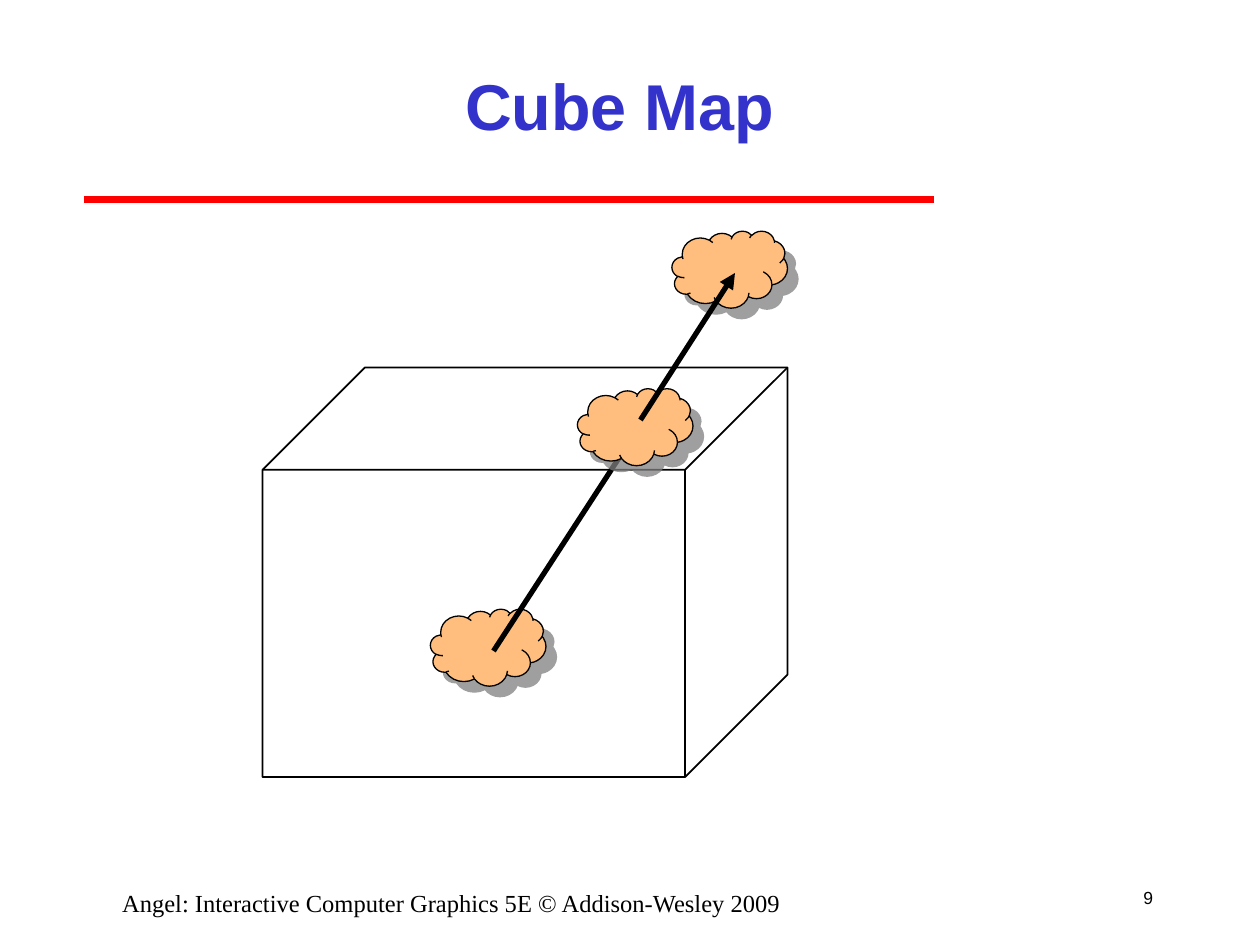
from lxml.etree import SubElement
from pptx import Presentation
from pptx.dml.color import RGBColor
from pptx.enum.shapes import MSO_CONNECTOR, MSO_SHAPE
from pptx.enum.text import MSO_ANCHOR, PP_ALIGN
from pptx.oxml.ns import qn
from pptx.util import Inches, Pt

COLORS = {
    "title": "3333CC",
    "rule": "FF0000",
    "ink": "000000",
    "cloud": "FFBE7D",
    "shadow": "808080",
}
CELLS_PER_INCH = 12
COLUMNS, ROWS = 120, 90
CLOUD_SIZE = (11, 7.33)


def grid(*cells):
    """Turn grid cells into lengths."""
    return [Inches(cell / CELLS_PER_INCH) for cell in cells]


def color(name):
    """Look up a named colour."""
    return RGBColor.from_string(COLORS[name])


def apply_format(target, values):
    """Set each named attribute on the target."""
    for name, value in values.items():
        setattr(target, name, value)


def add_text(page, area, text, font, ink="ink", align=PP_ALIGN.CENTER, anchor=MSO_ANCHOR.MIDDLE):
    """Place one line of text in a grid area."""
    frame = page.shapes.add_textbox(*grid(*area)).text_frame
    apply_format(frame, {"word_wrap": True, "vertical_anchor": anchor})
    para = frame.paragraphs[0]
    para.alignment = align
    span = para.add_run()
    span.text = text
    apply_format(span.font, font)
    span.font.color.rgb = color(ink)


def add_line(page, start, end, ink, width, arrow=False):
    """Draw a straight line, with an arrowhead at its end if asked."""
    line = page.shapes.add_connector(MSO_CONNECTOR.STRAIGHT, *grid(*start, *end))
    line.line.color.rgb = color(ink)
    line.line.width = Pt(width)
    if arrow:
        SubElement(line.line._get_or_add_ln(), qn("a:tailEnd"), type="triangle")
    SubElement(line._element.spPr, qn("a:effectLst"))


def add_outlined(page, kind, area, width):
    """Draw a preset shape with a thin dark outline and no shadow."""
    shape = page.shapes.add_shape(kind, *grid(*area))
    shape.shadow.inherit = False
    shape.line.color.rgb = color("ink")
    shape.line.width = Pt(width)
    return shape


def add_cube(page, area):
    """Draw the hollow cube."""
    cube = add_outlined(page, MSO_SHAPE.CUBE, area, 1)
    cube.adjustments[0] = 0.25
    cube.fill.background()


def add_cloud(page, left, top):
    """Draw a cloud that casts a hard shadow down and right."""
    cloud = add_outlined(page, MSO_SHAPE.CLOUD, (left, top, *CLOUD_SIZE), 0.75)
    cloud.fill.solid()
    cloud.fill.fore_color.rgb = color("cloud")
    effects = cloud._element.spPr.find(qn("a:effectLst"))
    shadow = SubElement(effects, qn("a:outerShdw"), blurRad="0", dist=str(Pt(8.5)),
                        dir=str(45 * 60000), algn="ctr", rotWithShape="0")
    tint = SubElement(shadow, qn("a:srgbClr"), val=COLORS["shadow"])
    SubElement(tint, qn("a:alpha"), val="75000")


def main():
    """Build the cube map slide and save it."""
    deck = Presentation()
    deck.slide_width, deck.slide_height = grid(COLUMNS, ROWS)
    page = deck.slides.add_slide(deck.slide_layouts[6])

    add_line(page, (8, 19), (89, 19), "rule", 4)
    add_text(page, (106, 83, 5, 5), "9", {"name": "Arial", "size": Pt(10)}, align=PP_ALIGN.RIGHT)
    add_text(page, (6, 84, 74, 3), "Angel: Interactive Computer Graphics 5E © Addison-Wesley 2009",
             {"name": "Times New Roman", "size": Pt(14)}, anchor=MSO_ANCHOR.TOP)
    add_text(page, (18, 3, 82, 14), "Cube Map",
             {"name": "Arial", "size": Pt(37), "bold": True}, ink="title")

    add_cloud(page, 41, 58)
    add_cloud(page, 64, 22)
    add_line(page, (47, 62), (60, 42), "ink", 3, arrow=True)
    add_cube(page, (25, 35, 50, 39))
    add_cloud(page, 55, 37)
    add_line(page, (61, 40), (70, 26), "ink", 3, arrow=True)

    deck.save("out.pptx")


if __name__ == "__main__":
    main()
